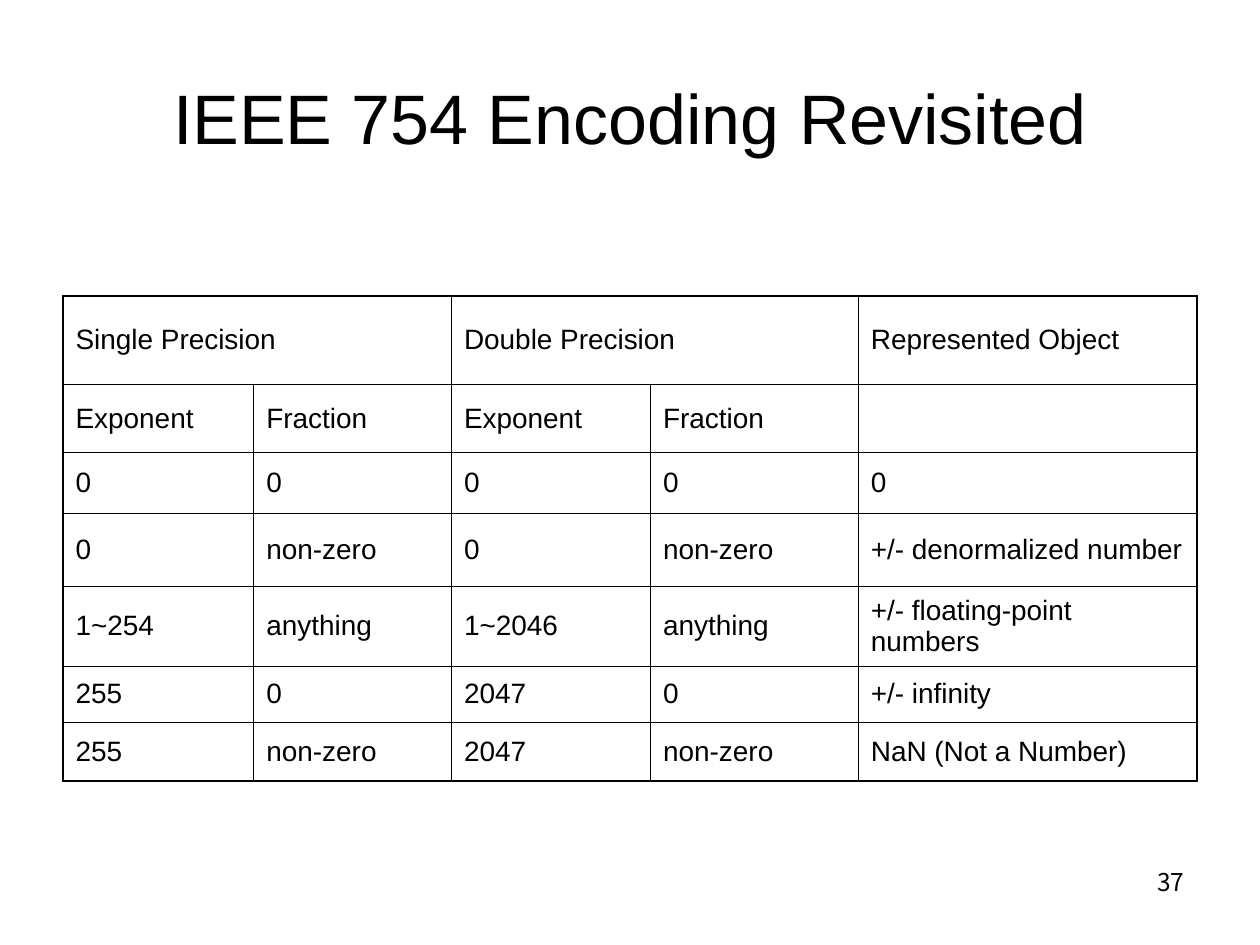
from lxml import etree
from pptx import Presentation
from pptx.dml.color import RGBColor
from pptx.enum.text import MSO_ANCHOR, PP_ALIGN
from pptx.oxml.ns import qn
from pptx.util import Pt

MIDDLE = MSO_ANCHOR.MIDDLE
LEFT, CENTER, RIGHT = PP_ALIGN.LEFT, PP_ALIGN.CENTER, PP_ALIGN.RIGHT

# Content
TITLE = "IEEE 754 Encoding Revisited"
PAGE_NUMBER = "37"
ENCODINGS = [
    ["Single Precision", "", "Double Precision", "", "Represented Object"],
    ["Exponent", "Fraction", "Exponent", "Fraction", ""],
    ["0", "0", "0", "0", "0"],
    ["0", "non-zero", "0", "non-zero", "+/- denormalized number"],
    ["1~254", "anything", "1~2046", "anything", "+/- floating-point numbers"],
    ["255", "0", "2047", "0", "+/- infinity"],
    ["255", "non-zero", "2047", "non-zero", "NaN (Not a Number)"],
]

# Look, with lengths in points
COLORS = {"ink": "000000", "paper": "FFFFFF"}
COLUMN_WIDTHS = [109, 113, 113.75, 118.75, 193.5]
ROW_HEIGHTS = [50.75, 38.75, 34.75, 41.75, 45.75, 32, 33.5]
HEADER_STARTS = [0, 2]
OUTER_LINE, INNER_LINE = 1.08, 0.45
FORMATS = {
    "title": {"name": "Arial", "size": Pt(40)},
    "cell": {"name": "Arial", "size": Pt(16)},
    "number": {"name": "Noto Sans CJK KR", "size": Pt(14)},
}


def write(frame, text, style, alignment):
    para = frame.paragraphs[0]
    para.alignment = alignment
    span = para.add_run()
    span.text = text
    for key, value in FORMATS[style].items():
        setattr(span.font, key, value)
    span.font.color.rgb = RGBColor.from_string(COLORS["ink"])


def add_borders(cell, widths):
    properties = cell._tc.get_or_add_tcPr()
    for side, width in widths.items():
        line = etree.SubElement(properties, qn(f"a:ln{side}"), w=str(Pt(width)))
        fill = etree.SubElement(line, qn("a:solidFill"))
        etree.SubElement(fill, qn("a:srgbClr"), val=COLORS["ink"])


deck = Presentation()
deck.slide_width, deck.slide_height = Pt(720), Pt(540)
page = deck.slides.add_slide(deck.slide_layouts[5])

# Page number
box = page.shapes.add_textbox(Pt(516), Pt(492), Pt(168), Pt(37.5))
box.text_frame.word_wrap = True
write(box.text_frame, PAGE_NUMBER, "number", RIGHT)

# Title
title = page.shapes.title
title.left, title.top, title.width, title.height = Pt(36), Pt(21.5), Pt(648), Pt(90)
title.text_frame.vertical_anchor = MIDDLE
write(title.text_frame, TITLE, "title", CENTER)

# Encoding table
row_count, column_count = len(ROW_HEIGHTS), len(COLUMN_WIDTHS)
table = page.shapes.add_table(
    row_count, column_count, Pt(36), Pt(169),
    Pt(sum(COLUMN_WIDTHS)), Pt(sum(ROW_HEIGHTS))).table
table.first_row = table.horz_banding = False
for column, width in zip(table.columns, COLUMN_WIDTHS):
    column.width = Pt(width)
for row, height in zip(table.rows, ROW_HEIGHTS):
    row.height = Pt(height)
for start in HEADER_STARTS:
    table.cell(0, start).merge(table.cell(0, start + 1))

for r, texts in enumerate(ENCODINGS):
    for c, text in enumerate(texts):
        cell = table.cell(r, c)
        cell.vertical_anchor = MIDDLE
        on_edge = {"L": c == 0, "R": c == column_count - 1,
                   "T": r == 0, "B": r == row_count - 1}
        add_borders(cell, {side: OUTER_LINE if edge else INNER_LINE
                           for side, edge in on_edge.items()})
        cell.fill.solid()
        cell.fill.fore_color.rgb = RGBColor.from_string(COLORS["paper"])
        if text:
            write(cell.text_frame, text, "cell", LEFT)

deck.save("out.pptx")
